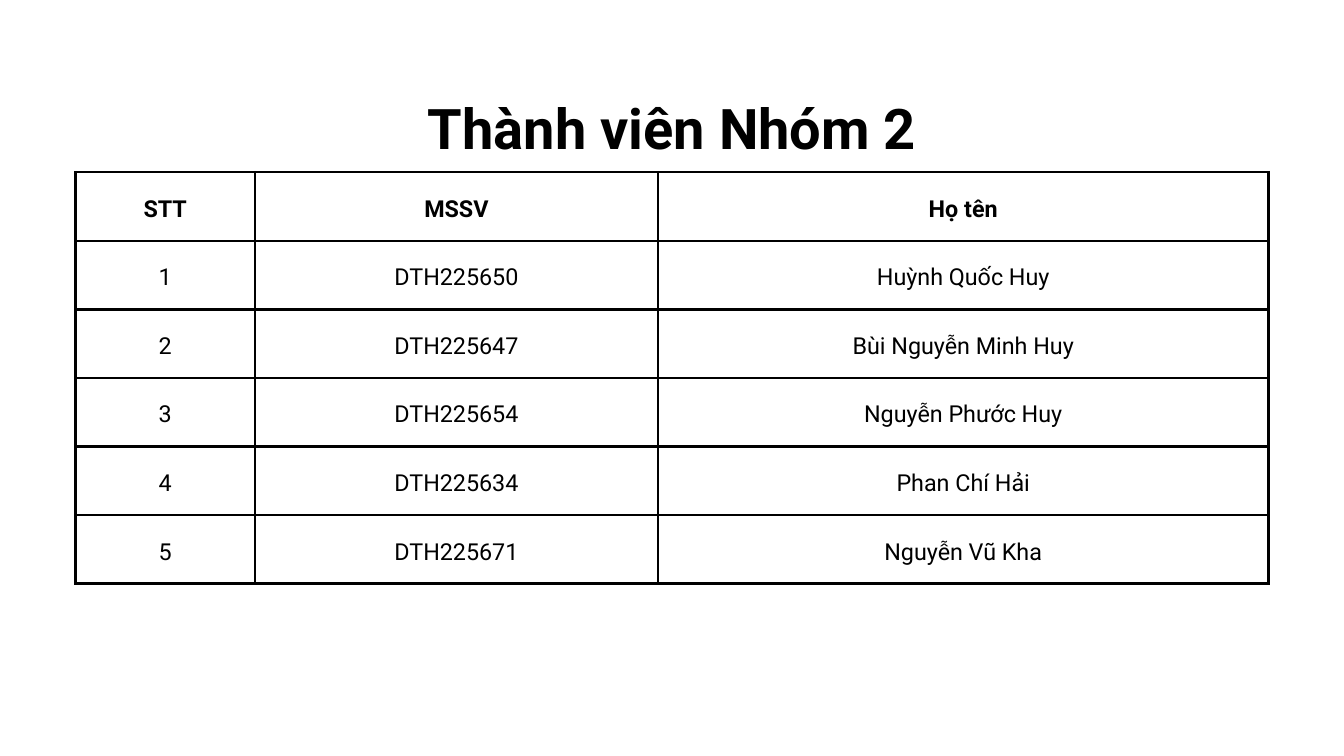
"""Build a slide that lists the members of group 2 in a table."""
from lxml.etree import SubElement
from pptx import Presentation
from pptx.dml.color import RGBColor
from pptx.enum.text import MSO_ANCHOR, MSO_AUTO_SIZE, PP_ALIGN
from pptx.oxml.ns import qn
from pptx.util import Emu, Pt

SCALE = 9525
BLACK = RGBColor(0, 0, 0)
WHITE = RGBColor(255, 255, 255)
FONT = "Roboto"
COLS = (256, 576, 872)
ROW = 98
INSET = 20
ROWS = (
    ("STT", "MSSV", "Họ tên"),
    ("1", "DTH225650", "Huỳnh Quốc Huy"),
    ("2", "DTH225647", "Bùi Nguyễn Minh Huy"),
    ("3", "DTH225654", "Nguyễn Phước Huy"),
    ("4", "DTH225634", "Phan Chí Hải"),
    ("5", "DTH225671", "Nguyễn Vũ Kha"),
)


def px(count):
    return Emu(count * SCALE)


def put_text(frame, text, size=25, bold=False, lead=35):
    frame.word_wrap = True
    para = frame.paragraphs[0]
    para.alignment = PP_ALIGN.CENTER
    para.line_spacing = Pt(lead)
    run = para.add_run()
    run.text = text
    font = run.font
    font.name, font.size, font.bold = FONT, Pt(size), bold
    font.color.rgb = BLACK


def set_edges(cell, width=3):
    props = cell._tc.get_or_add_tcPr()
    for side in "LRTB":
        line = SubElement(props, qn(f"a:ln{side}"), w=str(Pt(width)))
        fill = SubElement(line, qn("a:solidFill"))
        SubElement(fill, qn("a:srgbClr"), val=str(BLACK))


def add_title(slide, text):
    title = slide.shapes.title
    title.left, title.top, title.width, title.height = map(px, (575, 111, 770, 118))
    frame = title.text_frame
    frame.auto_size = MSO_AUTO_SIZE.NONE
    frame.vertical_anchor = MSO_ANCHOR.BOTTOM
    frame.margin_left = frame.margin_right = 0
    frame.margin_top = frame.margin_bottom = 0
    put_text(frame, text, size=60, bold=True, lead=64.8)


def fill_cell(cell, text, bold):
    cell.margin_left = cell.margin_right = px(INSET)
    cell.margin_top = cell.margin_bottom = px(INSET)
    cell.vertical_anchor = MSO_ANCHOR.MIDDLE
    set_edges(cell)
    cell.fill.background()
    put_text(cell.text_frame, text, bold=bold)


def add_grid(slide, left, top):
    size = px(sum(COLS)), px(ROW * len(ROWS))
    grid = slide.shapes.add_table(len(ROWS), len(COLS), px(left), px(top), *size).table
    grid.horz_banding = False
    for col, width in zip(grid.columns, COLS):
        col.width = px(width)
    for i, row in enumerate(ROWS):
        grid.rows[i].height = px(ROW)
        for j, text in enumerate(row):
            fill_cell(grid.cell(i, j), text, bold=i == 0)


def main():
    deck = Presentation()
    deck.slide_width, deck.slide_height = px(1920), px(1080)
    slide = deck.slides.add_slide(deck.slide_layouts[5])
    slide.background.fill.solid()
    slide.background.fill.fore_color.rgb = WHITE
    add_title(slide, "Thành viên Nhóm 2")
    add_grid(slide, 108, 246)
    deck.save("out.pptx")


if __name__ == "__main__":
    main()
